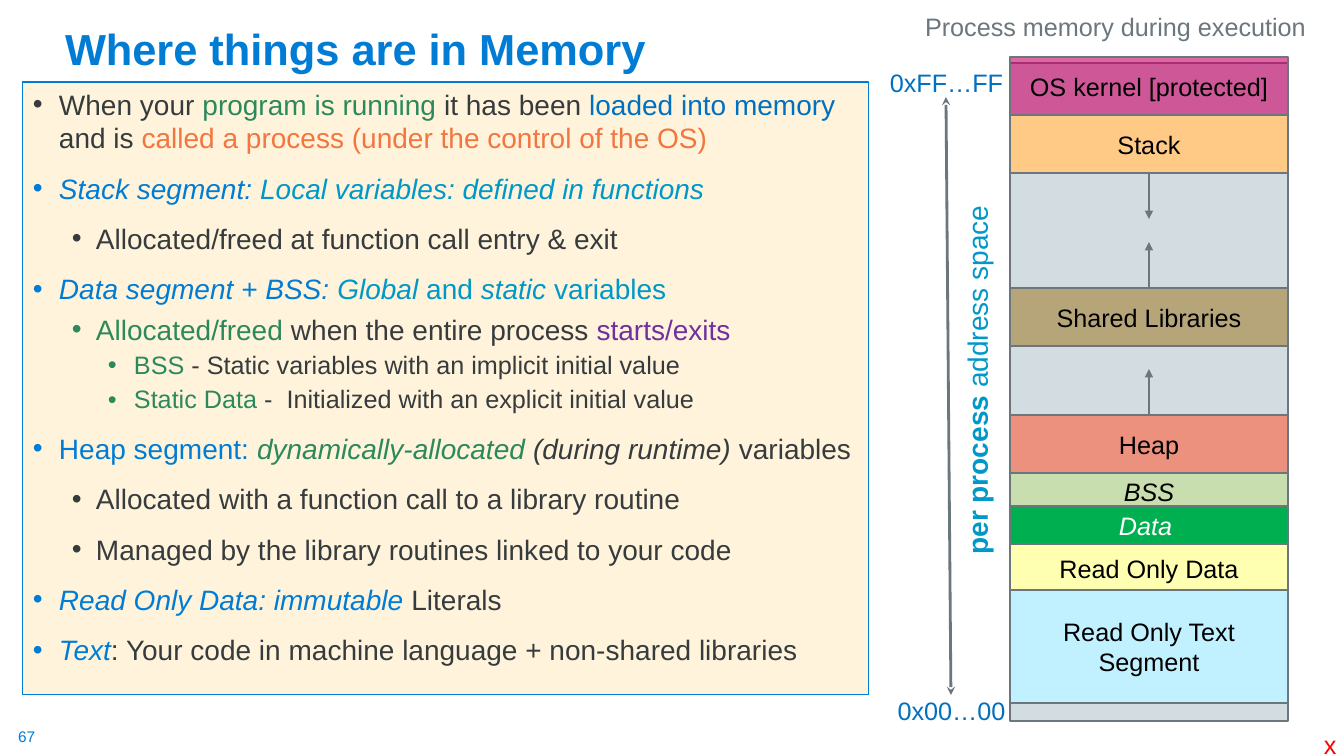
from lxml import etree
from pptx import Presentation
from pptx.dml.color import RGBColor
from pptx.enum.shapes import MSO_CONNECTOR, MSO_SHAPE
from pptx.enum.text import MSO_ANCHOR, PP_ALIGN
from pptx.oxml.ns import qn
from pptx.util import Emu, Pt

RECT = MSO_SHAPE.RECTANGLE
STRAIGHT = MSO_CONNECTOR.STRAIGHT
LEFT, CENTER = PP_ALIGN.LEFT, PP_ALIGN.CENTER
TOP, MIDDLE, BOTTOM = MSO_ANCHOR.TOP, MSO_ANCHOR.MIDDLE, MSO_ANCHOR.BOTTOM
PX = 914400 / 100.8

BLUE, TEAL, GREEN, DARK = "007CD5", "0098C9", "2C895B", "363B3E"
LINK, ORANGE, PURPLE, GRAY = "0070C0", "F3753F", "7030A0", "6B767D"
BLACK, WHITE, RED = "000000", "FFFFFF", "FF0000"


def px(*lengths):
    """Turn pixel lengths into EMU."""
    return [Emu(round(length * PX)) for length in lengths]


def add_box(box, runs=(), size=18, fill=None, line=None, width=1.5,
            align=CENTER, anchor=TOP, inset=(10, 5), wrap=True):
    """Add a text box, or a rectangle if filled; runs are (text, colour, style)."""
    if fill:
        shape = slide.shapes.add_shape(RECT, *px(*box))
        shape.shadow.inherit = False
        shape.fill.solid()
        shape.fill.fore_color.rgb = RGBColor.from_string(fill)
        if line:
            shape.line.color.rgb = RGBColor.from_string(line)
            shape.line.width = Pt(width)
        else:
            shape.line.fill.background()
    else:
        shape = slide.shapes.add_textbox(*px(*box))
    frame = shape.text_frame
    frame.word_wrap = wrap
    frame.vertical_anchor = anchor
    frame.margin_left, frame.margin_top = px(*inset)
    frame.margin_right, frame.margin_bottom = px(*inset)
    paragraph = frame.paragraphs[0]
    paragraph.alignment = align
    for text, color, style in runs:
        run = paragraph.add_run()
        run.text = text
        run.font.name = "Arial"
        run.font.size = Pt(size)
        run.font.color.rgb = RGBColor.from_string(color)
        run.font.bold = "b" in style
        run.font.italic = "i" in style
    return shape


prs = Presentation()
prs.slide_width, prs.slide_height = px(1344, 756)
slide = prs.slides.add_slide(prs.slide_layouts[6])

add_box((18, 727, 19, 19), [("67", BLUE, "")], 11, align=LEFT, inset=(0, 0), wrap=False)
title = add_box((55, 13, 1159, 67), [("Where things are in Memory", BLUE, "b")],
                31, align=LEFT, anchor=BOTTOM)
title.text_frame.paragraphs[0].line_spacing = 0.9

# Notes on each segment: level, space before, runs
notes = [
    (0, 12, [("When your ", DARK, ""), ("program is running ", GREEN, ""),
             ("it has been ", DARK, ""), ("loaded into memory ", LINK, ""),
             ("and is ", DARK, ""),
             ("called a process (under the control of the OS)", ORANGE, "")]),
    (0, 12, [("Stack segment: ", BLUE, "i"),
             ("Local variables: defined in functions", TEAL, "i")]),
    (1, 12, [("Allocated/freed at function call entry & exit", DARK, "")]),
    (0, 12, [("Data segment + BSS: ", BLUE, "i"), ("Global", TEAL, "i"),
             (" and ", TEAL, ""), ("static ", TEAL, "i"), ("variables", TEAL, "")]),
    (1, 5, [("Allocated/freed ", GREEN, ""), ("when the entire process ", DARK, ""),
            ("starts/exits", PURPLE, "")]),
    (2, 5, [("BSS", GREEN, ""),
            (" - Static variables with an implicit initial value", DARK, "")]),
    (2, 5, [("Static Data ", GREEN, ""),
            ("-  Initialized with an explicit initial value", DARK, "")]),
    (0, 12, [("Heap segment: ", BLUE, ""), ("dynamically-allocated", GREEN, "i"),
             (" (during runtime) ", DARK, "i"), ("variables", DARK, "")]),
    (1, 12, [("Allocated with a function call to a library routine", DARK, "")]),
    (1, 12, [("Managed by the library routines linked to your code", DARK, "")]),
    (0, 12, [("Read Only Data: immutable ", BLUE, "i"), ("Literals", DARK, "")]),
    (0, 12, [("Text", BLUE, "i"),
             (": Your code in machine language + non-shared libraries", DARK, "")]),
]
levels = [(26, 26, 20, 1.0), (63, 24, 20, 1.0), (101, 26, 18, 0.9)]
panel = add_box((23, 82, 846, 613), fill="FFF4DB", line=BLUE, width=0.75).text_frame
for index, (level, space, runs) in enumerate(notes):
    margin, hanging, size, spacing = levels[level]
    note = panel.add_paragraph() if index else panel.paragraphs[0]
    note.level = level
    note.alignment = LEFT
    note.space_before = Pt(space)
    note.line_spacing = spacing
    properties = note._p.get_or_add_pPr()
    for key, length in zip(("marL", "indent"), px(margin, -hanging)):
        properties.set(key, str(length))
    etree.SubElement(properties, qn("a:buFont")).set("typeface", "Arial")
    etree.SubElement(properties, qn("a:buChar")).set("char", "•")
    for text, color, style in runs:
        run = note.add_run()
        run.text = text
        run.font.name = "Arial"
        run.font.size = Pt(size)
        run.font.color.rgb = RGBColor.from_string(color)
        run.font.italic = "i" in style

# Address range
add_box((876, 67, 141, 30), [("0xFF…FF", LINK, "")], inset=(10, 0))
add_box((886, 695, 131, 30), [("0x00…00", LINK, "")], inset=(10, 0))
address_space = add_box((763, 358, 428, 44),
                        [("per process ", TEAL, "b"), ("address space", TEAL, "")],
                        20, fill=WHITE, inset=(5, 5))
address_space.rotation = 270

# Memory column: label, top, height, fill, text colour, style
COLUMN_X, COLUMN_W = 1010, 278
segments = [
    ("OS kernel [protected]", 57, 58, "CC0066", BLACK, ""),
    ("Stack", 115, 58, "FFCA86", BLACK, ""),
    ("Heap", 415, 58, "ED917F", BLACK, ""),
    ("BSS", 473, 37, "C9DEAE", BLACK, "i"),
    ("Shared Libraries", 288, 58, "B7A57A", BLACK, ""),
    ("Read Only Data", 542, 52, "FFFFB2", BLACK, ""),
    ("Read Only Text Segment", 590, 113, "C1F0FF", BLACK, ""),
    ("Data ", 506, 38, "00B050", WHITE, "i"),
]
add_box((COLUMN_X, 63, COLUMN_W, 658), fill="D3DCE1", line=GRAY, width=2)
for label, top, height, fill, color, style in segments:
    segment = add_box((COLUMN_X, top, COLUMN_W, height), [(label, color, style)],
                      fill=fill, line=GRAY, anchor=MIDDLE)
    if label.startswith("OS kernel"):
        kernel_color = segment.fill._xPr.find(".//" + qn("a:srgbClr"))
        etree.SubElement(kernel_color, qn("a:alpha")).set("val", "60000")

# Address span, then the growth directions of stack, libraries and heap
GROWTH_X = COLUMN_X + COLUMN_W // 2
arrows = [
    (946, 97, 951, 695, {"headEnd": "stealth", "tailEnd": "stealth"}),
    (GROWTH_X, 173, GROWTH_X, 219, {"tailEnd": "triangle"}),
    (GROWTH_X, 242, GROWTH_X, 288, {"headEnd": "triangle"}),
    (GROWTH_X, 369, GROWTH_X, 415, {"headEnd": "triangle"}),
]
for *ends, tips in arrows:
    arrow = slide.shapes.add_connector(STRAIGHT, *px(*ends))
    arrow.line.color.rgb = RGBColor.from_string(GRAY)
    arrow.line.width = Pt(2)
    for end, kind in tips.items():
        etree.SubElement(arrow.line._get_or_add_ln(), qn("a:" + end)).set("type", kind)
    etree.SubElement(arrow._element.spPr, qn("a:effectLst"))

add_box((1314, 724, 33, 40), [("x", RED, "")], align=LEFT, wrap=False)
add_box((915, 6, 405, 40), [("Process memory during execution", GRAY, "")],
        align=LEFT, wrap=False)

prs.save("out.pptx")
